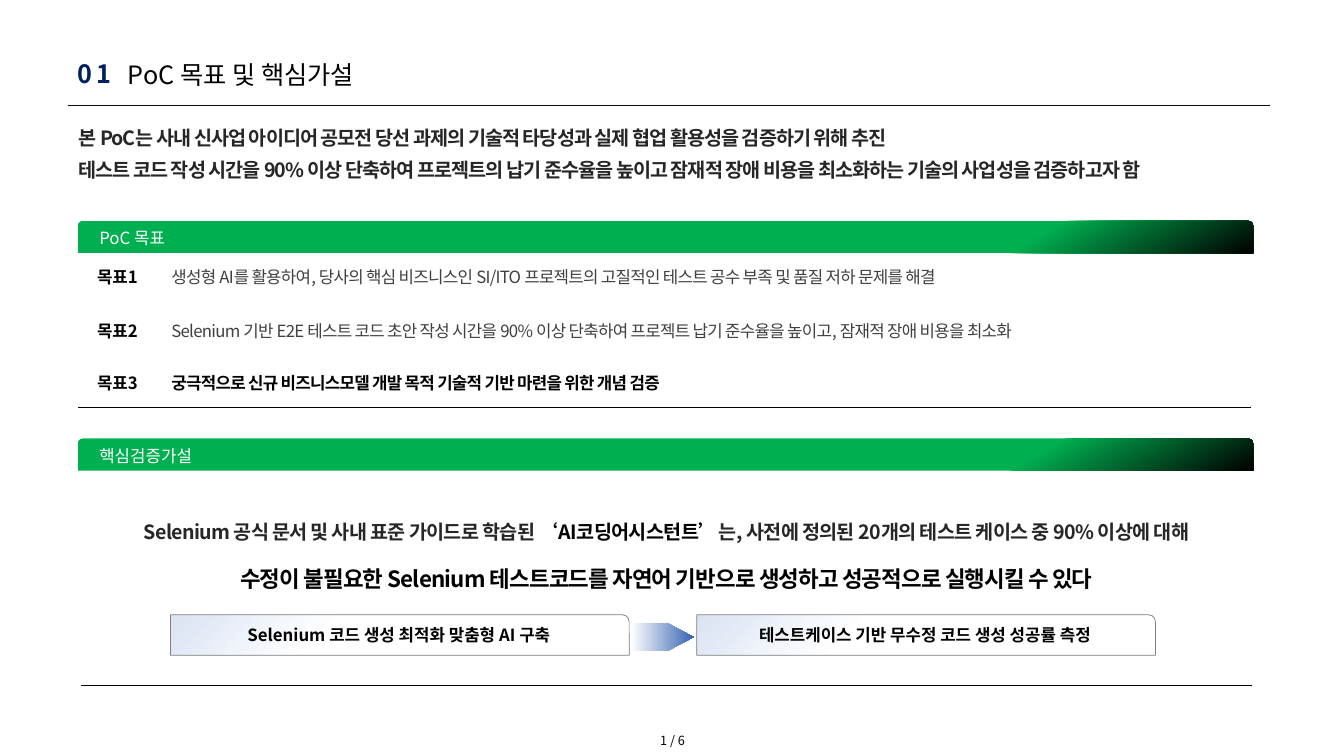
from dataclasses import dataclass

from lxml import etree
from pptx import Presentation, util as u
from pptx.dml import color
from pptx.enum import shapes, text
from pptx.oxml import ns

Inches, Pt = u.Inches, u.Pt
LEFT, CENTER = text.PP_ALIGN.LEFT, text.PP_ALIGN.CENTER
TOP, MIDDLE = text.MSO_ANCHOR.TOP, text.MSO_ANCHOR.MIDDLE


@dataclass(frozen=True)
class Theme:
    font: str = "Noto Sans CJK KR"
    black: str = "000000"
    white: str = "FFFFFF"
    navy: str = "002060"
    rule: str = "0D0D0D"
    dark: str = "262626"
    body: str = "404040"
    green: str = "00B050"
    pale: str = "DAE3F3"
    blue: str = "3864B3"
    edge: str = "808080"
    title: float = 18
    claim: float = 16
    lead: float = 14
    label: float = 12
    small: float = 9


def rgb(value):
    return color.RGBColor.from_string(value)


class SlideBuilder:
    def __init__(self, slide, theme):
        self.slide, self.theme = slide, theme

    def span(self, para, words, size, ink, bold=False, spacing=0):
        """Add one styled run."""
        run = para.add_run()
        run.text = words
        font = run.font
        font.name, font.size, font.bold = self.theme.font, Pt(size), bold
        font.color.rgb = rgb(ink)
        properties = run._r.get_or_add_rPr()
        if spacing:
            properties.set("spc", str(round(spacing * 100)))
        etree.SubElement(properties, ns.qn("a:ea"), typeface=self.theme.font)

    def add_paras(self, frame, paras, align=LEFT, line=None, before=0):
        """Fill a frame with paragraphs, each a list of runs."""
        for index, spans in enumerate(paras):
            para = frame.add_paragraph() if index else frame.paragraphs[0]
            para.alignment = align
            if line:
                para.line_spacing = line
            if index and before:
                para.space_before = Pt(before)
            for span in spans:
                self.span(para, *span)

    def text(self, place, paras, anchor=MIDDLE, **layout):
        box = self.slide.shapes.add_textbox(*map(Inches, place))
        frame = box.text_frame
        frame.word_wrap, frame.vertical_anchor = True, anchor
        self.add_paras(frame, paras, **layout)

    def line(self, start, end):
        rule = self.slide.shapes.add_connector(
            shapes.MSO_CONNECTOR.STRAIGHT, *map(Inches, start + end))
        rule.line.color.rgb, rule.line.width = rgb(self.theme.rule), Pt(0.5)
        etree.SubElement(rule._element.spPr, ns.qn("a:effectLst"))

    def shape(self, kind, place, stops, angle=0, edge=None):
        """Add a gradient shape; the angle runs clockwise."""
        shape = self.slide.shapes.add_shape(kind, *map(Inches, place))
        shape.shadow.inherit = False
        shape.fill.gradient()
        shape.fill.gradient_angle = -angle % 360
        for stop, (position, ink) in zip(shape.fill.gradient_stops, stops):
            stop.position, stop.color.rgb = position, rgb(ink)
        if edge:
            shape.line.color.rgb, shape.line.width = rgb(edge), Pt(0.5)
        else:
            shape.line.fill.background()
        shape.text_frame.vertical_anchor = MIDDLE
        return shape

    def heading_bar(self, top, words):
        t = self.theme
        bar = self.shape(shapes.MSO_SHAPE.ROUND_2_SAME_RECTANGLE,
                         (0.77, top, 11.66, 0.32),
                         [(0.8, t.green), (1, t.black)], angle=60)
        bar.text_frame.margin_left = Inches(0.2)
        self.add_paras(bar.text_frame, [[(words, t.label, t.white)]])

    def step(self, left, words):
        t = self.theme
        box = self.shape(shapes.MSO_SHAPE.ROUND_1_RECTANGLE,
                         (left, 6.1, 4.55, 0.4),
                         [(0, t.pale), (0.35, t.white)], angle=45, edge=t.edge)
        self.add_paras(box.text_frame, [[(words, t.label, t.black, True)]], CENTER)

    def table(self, place, widths, heights):
        frame = self.slide.shapes.add_table(
            len(heights), len(widths), *map(Inches, place))
        table = frame.table
        table.first_row = table.horz_banding = False
        for column, width in zip(table.columns, widths):
            column.width = Inches(width)
        for row, height in zip(table.rows, heights):
            row.height = Inches(height)
        return table

    def cell(self, cell, paras, top, bottom, **layout):
        """Style a cell; top and bottom are (colour, points)."""
        side = (self.theme.white, 1)
        properties = cell._tc.get_or_add_tcPr()
        for edge, (ink, width) in zip("LRTB", (side, side, top, bottom)):
            border = etree.SubElement(properties, ns.qn("a:ln" + edge), w=str(Pt(width)))
            fill = etree.SubElement(border, ns.qn("a:solidFill"))
            etree.SubElement(fill, ns.qn("a:srgbClr"), val=ink)
        cell.fill.background()
        cell.vertical_anchor = MIDDLE
        self.add_paras(cell.text_frame, paras, **layout)


def main():
    deck = Presentation()
    deck.slide_width, deck.slide_height = Inches(13.33), Inches(7.5)
    t = Theme()
    page = SlideBuilder(deck.slides.add_slide(deck.slide_layouts[6]), t)
    black, white = (t.black, 1), (t.white, 1)

    # Page number and title
    page.text((5.99, 7.22, 1.36, 0.25), [[("1 / 6", t.small, t.black)]], align=CENTER)
    page.line((0.67, 1.05), (12.6, 1.05))
    page.text((1.17, 0.58, 4.15, 0.36),
              [[("PoC 목표 및 핵심가설", t.title, t.black)]], line=0.9)
    page.text((0.67, 0.56, 0.76, 0.38),
              [[("01", t.title, t.navy, True, 3)]], line=0.9)

    # Lead message
    lead = [
        "본 PoC는 사내 신사업 아이디어 공모전 당선 과제의 기술적 타당성과 실제 협업 활용성을 검증하기 위해 추진",
        "테스트 코드 작성 시간을 90% 이상 단축하여 프로젝트의 납기 준수율을 높이고 "
        "잠재적 장애 비용을 최소화하는 기술의 사업성을 검증하고자 함",
    ]
    page.text((0.68, 1.25, 11.69, 0.56),
              [[(words, t.lead, t.dark, True, -0.7)] for words in lead],
              anchor=TOP, line=Pt(13), before=10)

    # Goals: words, colour, bold, border above, border below
    goals = [
        ("생성형 AI를 활용하여, 당사의 핵심 비즈니스인 SI/ITO 프로젝트의 고질적인 "
         "테스트 공수 부족 및 품질 저하 문제를 해결", t.body, False, black, (t.white, 3)),
        ("Selenium 기반 E2E 테스트 코드 초안 작성 시간을 90% 이상 단축하여 "
         "프로젝트 납기 준수율을 높이고, 잠재적 장애 비용을 최소화", t.body, False, white, white),
        ("궁극적으로 신규 비즈니스모델 개발 목적 기술적 기반 마련을 위한 개념 검증",
         t.black, True, white, black),
    ]
    table = page.table((0.78, 2.48, 11.62, 1.56), (0.77, 10.85), (0.53, 0.53, 0.5))
    for index, (words, ink, bold, top, bottom) in enumerate(goals):
        name, goal = table.cell(index, 0), table.cell(index, 1)
        page.cell(name, [[(f"목표{index + 1}", t.label, t.black, True)]],
                  top, bottom, align=CENTER)
        page.cell(goal, [[(words, t.label, ink, bold, -0.5)]], top, bottom)
        goal.margin_left = Inches(0.15)
    page.heading_bar(2.19, "PoC 목표")

    # Hypothesis
    claim = page.table((0.8, 4.66, 11.62, 2.14), (11.62,), (2.14,)).cell(0, 0)
    page.cell(claim, [
        [("Selenium 공식 문서 및 사내 표준 가이드로 학습된 ", t.lead, t.dark, True, -0.5),
         ("‘AI코딩어시스턴트’", t.lead, t.black, True, -0.5),
         ("는, 사전에 정의된 20개의 테스트 케이스 중 90% 이상에 대해", t.lead, t.dark, True, -0.5)],
        [("수정이 불필요한 Selenium 테스트코드를 자연어 기반으로 생성하고 성공적으로 실행시킬 수 있다",
          t.claim, t.black, True, -0.6)],
    ], black, black, align=CENTER, line=1.5)
    claim.margin_bottom = Inches(0.63)
    page.heading_bar(4.35, "핵심검증가설")

    # Steps joined by an arrow
    page.step(1.69, "Selenium 코드 생성 최적화 맞춤형 AI 구축")
    page.step(6.91, "테스트케이스 기반 무수정 코드 생성 성공률 측정")
    arrow = page.shape(shapes.MSO_SHAPE.PENTAGON, (6.26, 6.18, 0.62, 0.28),
                       [(0, t.white), (1, t.blue)])
    arrow.adjustments[0] = 0.94

    deck.save("out.pptx")


if __name__ == "__main__":
    main()
